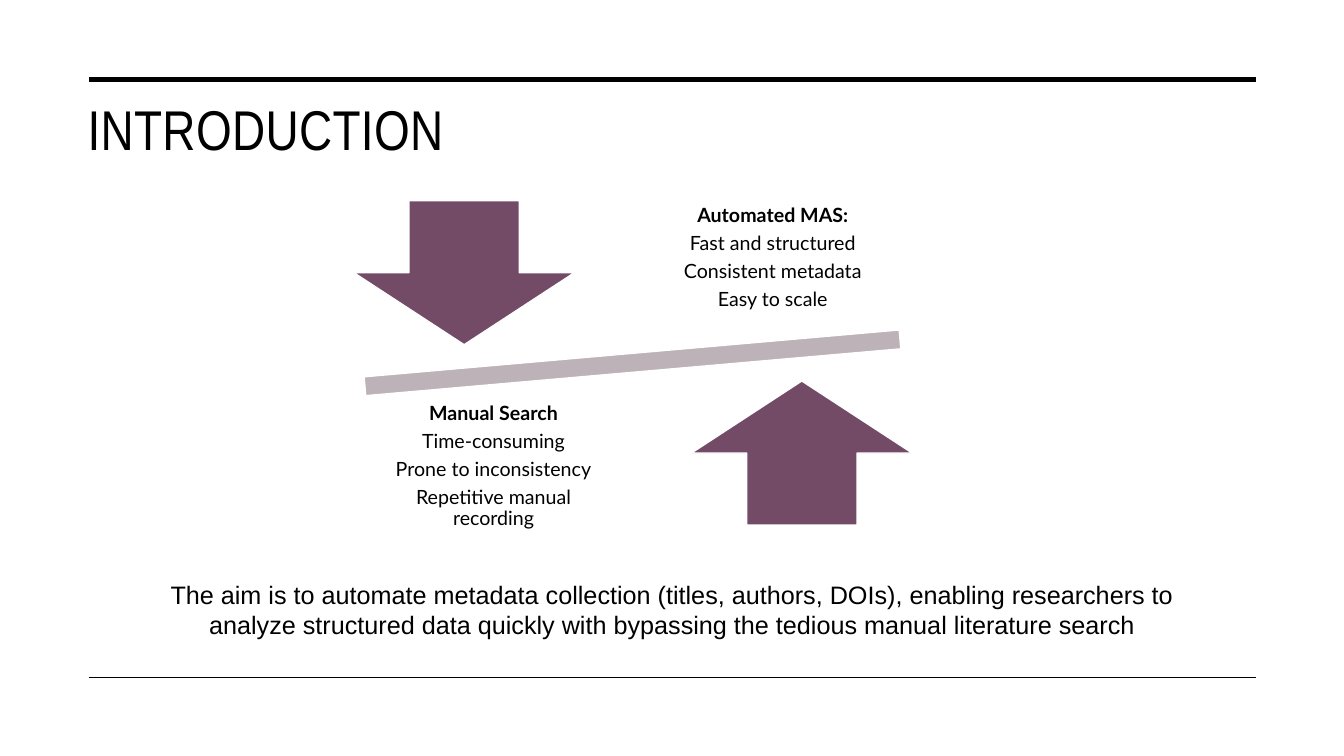
from lxml.etree import SubElement
from pptx import Presentation
from pptx.dml.color import RGBColor
from pptx.enum.shapes import MSO_CONNECTOR, MSO_SHAPE
from pptx.enum.text import MSO_ANCHOR, PP_ALIGN
from pptx.oxml.ns import qn
from pptx.util import Inches, Pt

COLORS = {"ink": "000000", "paper": "FFFFFF", "plum": "734B67", "mist": "BCB2B8"}
COLS, ROWS = 40, 30


class Deck:
    """Holds the style and the current slide; lengths are grid columns and rows."""

    def __init__(self):
        self.show = Presentation()
        self.show.slide_width, self.show.slide_height = Inches(13.333), Inches(7.5)
        self.slide = self.show.slides.add_slide(self.show.slide_layouts[6])

    def color(self, name):
        return RGBColor.from_string(COLORS[name])

    def place(self, *grid):
        """Turn column, row pairs into slide lengths."""
        units = self.show.slide_width / COLS, self.show.slide_height / ROWS
        return [round(n * units[i % 2]) for i, n in enumerate(grid)]

    def rule(self, row, width):
        ends = self.place(2.64, row, 37.38, row)
        line = self.slide.shapes.add_connector(MSO_CONNECTOR.STRAIGHT, *ends)
        line.line.color.rgb = self.color("ink")
        line.line.width = Pt(width)
        SubElement(line._element.spPr, qn("a:effectLst"))

    def shape(self, kind, box, fill, turn=0):
        item = self.slide.shapes.add_shape(kind, *self.place(*box))
        item.shadow.inherit = False
        item.fill.solid()
        item.fill.fore_color.rgb = self.color(fill)
        item.line.color.rgb = self.color("paper")
        item.line.width = Pt(1)
        item.rotation = turn

    def text(self, box, lines, font, size, align=PP_ALIGN.CENTER,
             anchor=MSO_ANCHOR.MIDDLE):
        frame = self.slide.shapes.add_textbox(*self.place(*box)).text_frame
        frame.word_wrap = True
        frame.vertical_anchor = anchor
        frame.text = "\n".join(lines)
        for para in frame.paragraphs:
            para.alignment = align
            para.font.name = font
            para.font.size = Pt(size)
            para.font.color.rgb = self.color("ink")
        return frame

    def title(self, box, words):
        frame = self.text(box, [words], "Arial Narrow", 40,
                          PP_ALIGN.LEFT, MSO_ANCHOR.TOP)
        frame.paragraphs[0].runs[0]._r.get_or_add_rPr().set("spc", "30")

    def points(self, box, lines):
        """Add a bold heading with plain lines below it."""
        frame = self.text(box, lines, "Lato", 14)
        frame.margin_left = frame.margin_right = Inches(0.11)
        frame.margin_top = frame.margin_bottom = Inches(0.11)
        for para in frame.paragraphs:
            para.line_spacing = 0.9
            para.space_after = Pt(4.9)
        frame.paragraphs[0].font.bold = True


def main():
    deck = Deck()
    deck.rule(3.16, 3.5)
    deck.rule(26.88, 1)
    deck.title((2.31, 3.56, 35.07, 4.56), "INTRODUCTION")
    deck.text((4.5, 22.76, 31, 2.84), [
        "The aim is to automate metadata collection (titles, authors, DOIs), "
        "enabling researchers to analyze structured data quickly with bypassing "
        "the tedious manual literature search"], "Arial", 18)

    deck.shape(MSO_SHAPE.MATH_MINUS, (7.95, 12.8, 21.75, 3.2), "mist", 355)
    arrow, note = (6.57, 5.72), (7, 6)
    deck.shape(MSO_SHAPE.DOWN_ARROW, (10.53, 7.96, *arrow), "plum")
    deck.points((19.5, 7.24, *note), [
        "Automated MAS:", "Fast and structured", "Consistent metadata",
        "Easy to scale"])
    deck.shape(MSO_SHAPE.UP_ARROW, (20.58, 15.12, *arrow), "plum")
    deck.points((11.19, 15.52, *note), [
        "Manual Search", "Time-consuming", "Prone to inconsistency",
        "Repetitive manual recording"])
    deck.show.save("out.pptx")


if __name__ == "__main__":
    main()
